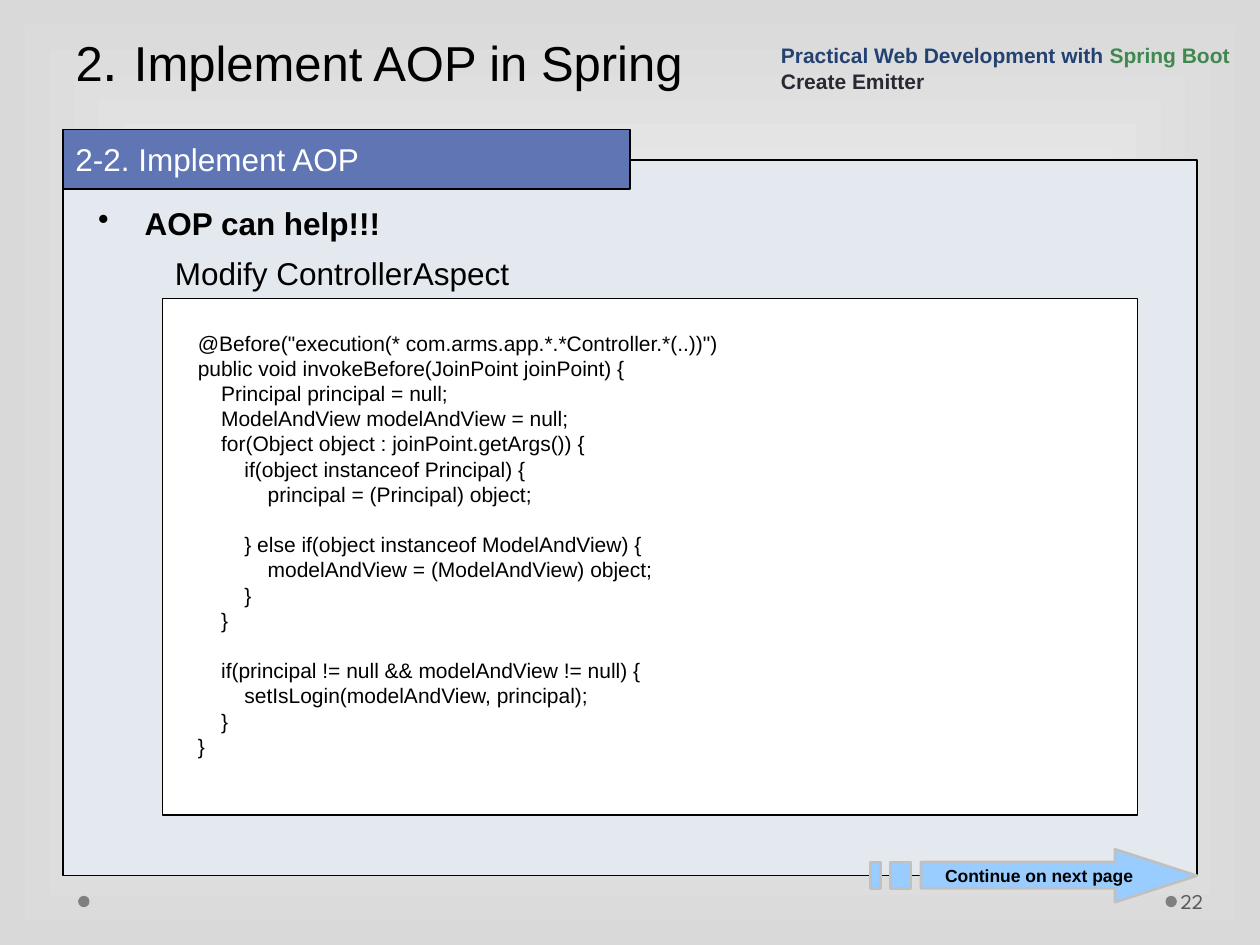
import pptx
import pptx.dml.color
import pptx.enum.shapes
import pptx.enum.text
import pptx.oxml
import pptx.oxml.ns
import pptx.util
from pptx.util import Inches

SHAPE = pptx.enum.shapes.MSO_SHAPE
ANCHOR = pptx.enum.text.MSO_ANCHOR
qn = pptx.oxml.ns.qn


def rgb(value):
    return pptx.dml.color.RGBColor.from_string(value)


def style(p, size, color="000000", bold=False, name="Arial"):
    for r in p.runs:
        r.font.size = pptx.util.Pt(size)
        r.font.color.rgb = rgb(color)
        r.font.bold = bold
        r.font.name = name


prs = pptx.Presentation()
prs.slide_width, prs.slide_height = Inches(10), Inches(7.5)
s = prs.slides.add_slide(prs.slide_layouts[5])

# Background: gradient spreading from the centre
fill = s.background.fill
fill.gradient()
for stop, color in zip(fill.gradient_stops, ("FFFFFF", "D9D9D9")):
    stop.color.rgb = rgb(color)
grad = s._element.find(".//" + qn("a:gradFill"))
grad.replace(grad.find(qn("a:lin")), pptx.oxml.parse_xml(
    '<a:path xmlns:a="http://schemas.openxmlformats.org/drawingml/2006/main" path="rect">'
    '<a:fillToRect l="50000" t="50000" r="50000" b="50000"/></a:path>'))

# Footer dots, content panel, section tab and code box
boxes = []
for kind, x, y, w, h, color, line in (
    (SHAPE.OVAL, 9.25, 7.11, 0.09, 0.09, "7F7F7F", None),
    (SHAPE.OVAL, 0.62, 7.11, 0.09, 0.09, "7F7F7F", None),
    (SHAPE.RECTANGLE, 0.5, 1.27, 9, 5.68, "E4E9EF", "000000"),
    (SHAPE.RECTANGLE, 0.5, 1.03, 4.5, 0.47, "6076B4", "000000"),
    (SHAPE.RECTANGLE, 1.29, 2.37, 7.74, 4.1, "FFFFFF", "000000"),
):
    sp = s.shapes.add_shape(kind, Inches(x), Inches(y), Inches(w), Inches(h))
    sp.shadow.inherit = False
    sp.fill.solid()
    sp.fill.fore_color.rgb = rgb(color)
    if line:
        sp.line.color.rgb = rgb(line)
        sp.line.width = pptx.util.Pt(0.75)
    else:
        sp.line.fill.background()
    boxes.append(sp)
tab, code_box = boxes[3:]

# Title
sp = s.shapes.title
sp.left, sp.top, sp.width, sp.height = Inches(0.5), Inches(0), Inches(9), Inches(0.79)
tf = sp.text_frame
tf.auto_size = pptx.enum.text.MSO_AUTO_SIZE.NONE
tf.vertical_anchor = ANCHOR.BOTTOM
p = tf.paragraphs[0]
p.alignment = pptx.enum.text.PP_ALIGN.LEFT
p.line_spacing = pptx.util.Pt(57.9)
for text in ("2", ". ", "Implement AOP in Spring"):
    p.add_run().text = text
style(p, 28)
p.runs[1].font.size = pptx.util.Pt(32)

# Section tab label
tf = tab.text_frame
tf.text = "2-2. Implement AOP"
tf.vertical_anchor = ANCHOR.MIDDLE
tf.paragraphs[0].alignment = pptx.enum.text.PP_ALIGN.LEFT
style(tf.paragraphs[0], 18, "FFFFFF")

# Text boxes: bullet, caption, course name, page number
frames = []
for x, y, w, h, text, size, color, bold, name in (
    (0.68, 1.57, 7.74, 0.4, "AOP can help!!!", 18, "000000", True, "Arial"),
    (1.29, 1.97, 6.97, 0.4, "Modify ControllerAspect", 18, "000000", False, "Arial"),
    (6.1, 0.24, 3.9, 0.55, "Practical Web Development with \nCreate Emitter", 12, "234271", True, "Arial"),
    (9.34, 6.95, 0.61, 0.4, "22", 12, "595959", False, "League Spartan"),
):
    tf = s.shapes.add_textbox(Inches(x), Inches(y), Inches(w), Inches(h)).text_frame
    tf.word_wrap = True
    tf.text = text
    for p in tf.paragraphs:
        style(p, size, color, bold, name)
    frames.append(tf)
bullet, caption, course, number = frames

pPr = bullet.paragraphs[0]._p.get_or_add_pPr()
pPr.set("marL", str(Inches(0.37)))
pPr.set("indent", str(-Inches(0.37)))
pPr.append(pptx.oxml.parse_xml(
    '<a:buChar xmlns:a="http://schemas.openxmlformats.org/drawingml/2006/main" char="•"/>'))

course.vertical_anchor = ANCHOR.BOTTOM
first, second = course.paragraphs
first.add_run().text = "Spring Boot"
style(first, 12, "234271", True)
first.runs[1].font.color.rgb = rgb("40884F")
style(second, 12, "292934", True)
for p in course.paragraphs:
    p.line_spacing = pptx.util.Pt(14.4)

number.vertical_anchor = ANCHOR.MIDDLE
number.margin_left = Inches(0.03)

# Code: (indent level, blank lines before, text)
code = (
    (0, 0, '@Before("execution(* com.arms.app.*.*Controller.*(..))")'),
    (0, 0, "public void invokeBefore(JoinPoint joinPoint) {"),
    (1, 0, "Principal principal = null;"),
    (1, 0, "ModelAndView modelAndView = null;"),
    (1, 0, "for(Object object : joinPoint.getArgs()) {"),
    (2, 0, "if(object instanceof Principal) {"),
    (3, 0, "principal = (Principal) object;"),
    (2, 1, "} else if(object instanceof ModelAndView) {"),
    (3, 0, "modelAndView = (ModelAndView) object;"),
    (2, 0, "}"),
    (1, 0, "}"),
    (1, 1, "if(principal != null && modelAndView != null) {"),
    (2, 0, "setIsLogin(modelAndView, principal);"),
    (1, 0, "}"),
    (0, 0, "}"),
)
tf = code_box.text_frame
tf.vertical_anchor = ANCHOR.TOP
tf.margin_left = Inches(0.28)
tf.margin_top = Inches(0.25)
tf.text = "\n".join(text for level, blank, text in code)
for p, (level, blank, text) in zip(tf.paragraphs, code):
    p.alignment = pptx.enum.text.PP_ALIGN.LEFT
    p.line_spacing = pptx.util.Pt(14.4)
    p.space_before = pptx.util.Pt(14.4 * blank)
    p._p.get_or_add_pPr().set("marL", str(Inches(0.185 * level)))
    style(p, 12)

# Striped arrow to the next page
top, bottom = 6.84, 7.05
outlines = [[(8.85, 6.74), (8.85, top), (7.31, top), (7.31, bottom),
             (8.85, bottom), (8.85, 7.16), (9.5, 6.95)]]
for left, right in ((7.07, 7.23), (6.91, 6.99)):
    outlines.append([(left, top), (left, bottom), (right, bottom), (right, top)])
builder = None
for outline in outlines:
    points = [(Inches(x), Inches(y)) for x, y in outline]
    if builder is None:
        builder = s.shapes.build_freeform(*points[0])
    else:
        builder.move_to(*points[0])
    builder.add_line_segments(points[1:], close=True)
sp = builder.convert_to_shape()
sp.shadow.inherit = False
sp.fill.solid()
sp.fill.fore_color.rgb = rgb("99CCFF")
sp.line.color.rgb = rgb("C0C0C0")
sp.line.width = pptx.util.Pt(1.5)
tf = sp.text_frame
tf.text = "Continue on next page"
tf.word_wrap = False
tf.vertical_anchor = ANCHOR.MIDDLE
tf.margin_left = Inches(0.18)
tf.paragraphs[0].alignment = pptx.enum.text.PP_ALIGN.CENTER
style(tf.paragraphs[0], 10, bold=True)

prs.save("out.pptx")
